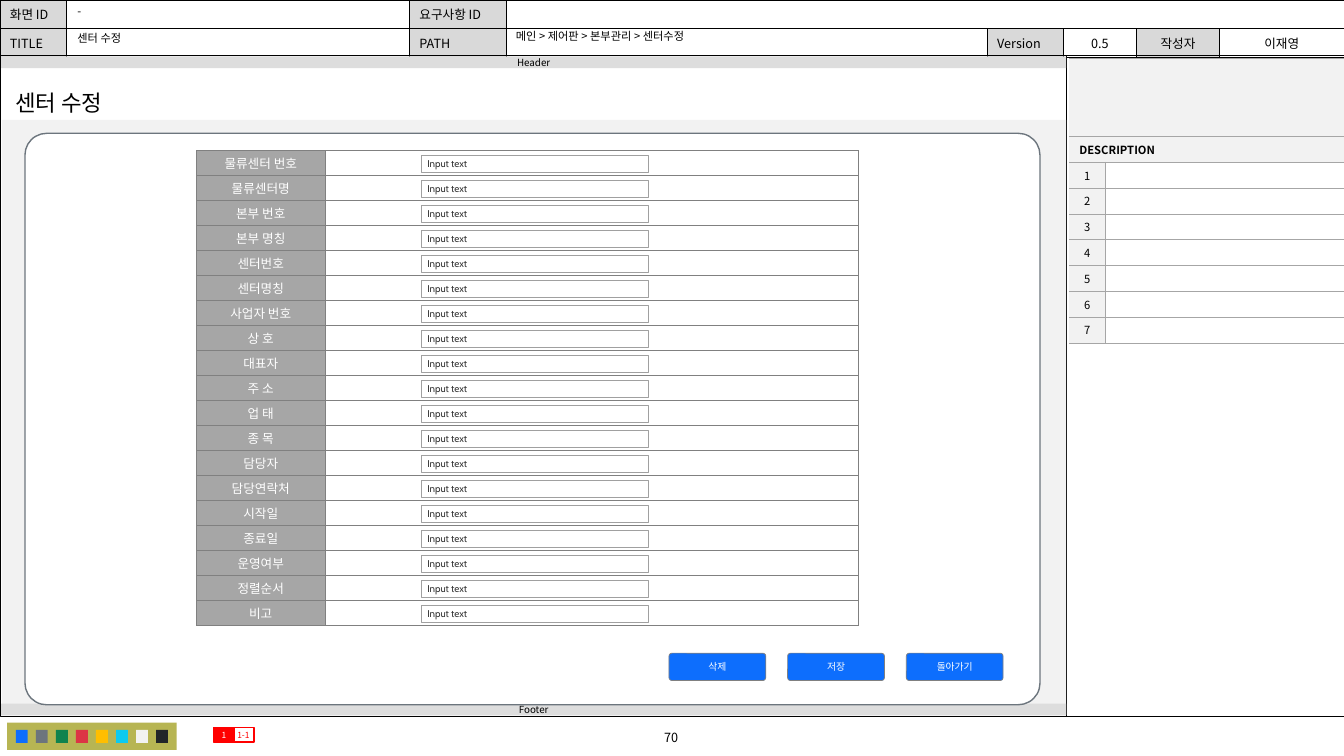
from lxml import etree
from pptx import Presentation
from pptx.dml.color import RGBColor
from pptx.enum.shapes import MSO_CONNECTOR, MSO_SHAPE
from pptx.enum.text import MSO_ANCHOR, PP_ALIGN
from pptx.oxml.ns import qn
from pptx.util import Cm, Pt

RECTANGLE, ROUNDED = MSO_SHAPE.RECTANGLE, MSO_SHAPE.ROUNDED_RECTANGLE
STRAIGHT = MSO_CONNECTOR.STRAIGHT
LEFT, CENTER = PP_ALIGN.LEFT, PP_ALIGN.CENTER
TOP, MIDDLE = MSO_ANCHOR.TOP, MSO_ANCHOR.MIDDLE

BLACK = RGBColor(0x00, 0x00, 0x00)
WHITE = RGBColor(0xFF, 0xFF, 0xFF)
RED = RGBColor(0xFF, 0x00, 0x00)
BLUE = RGBColor(0x0D, 0x6E, 0xFD)
SLATE = RGBColor(0x6C, 0x75, 0x7D)
GREEN = RGBColor(0x10, 0x83, 0x4E)
CRIMSON = RGBColor(0xDC, 0x35, 0x45)
AMBER = RGBColor(0xFF, 0xBE, 0x00)
CYAN = RGBColor(0x0D, 0xCA, 0xF0)
PALE = RGBColor(0xF2, 0xF2, 0xF2)
INK = RGBColor(0x21, 0x25, 0x29)
OLIVE = RGBColor(0xB7, 0xB5, 0x53)
BAR_GRAY = RGBColor(0xDD, 0xDD, 0xDD)
LABEL_GRAY = RGBColor(0xD9, 0xD9, 0xD9)
MID_GRAY = RGBColor(0xA6, 0xA6, 0xA6)
EDGE_GRAY = RGBColor(0x80, 0x80, 0x80)
INPUT_EDGE = RGBColor(0xA0, 0xA0, 0xA0)
INPUT_TEXT = RGBColor(0x33, 0x33, 0x33)

NOTO, CABIN = "Noto Sans CJK KR", "Cabin"
NO_TABLE_STYLE = "{2D5ABB26-0587-4C30-8999-92F81FD0307C}"
ROW = 0.63
FORM_LABELS = ["물류센터 번호", "물류센터명", "본부 번호", "본부 명칭", "센터번호", "센터명칭",
               "사업자 번호", "상 호", "대표자", "주 소", "업 태", "종 목", "담당자", "담당연락처",
               "시작일", "종료일", "운영여부", "정렬순서", "비고"]


def write(frame, text, size, color=BLACK, align=LEFT, font=NOTO, bold=False):
    paragraph = frame.paragraphs[0]
    paragraph.text = text
    paragraph.alignment = align
    paragraph.font.size = Pt(size)
    paragraph.font.bold = bold
    paragraph.font.color.rgb = color
    paragraph.font.name = font
    etree.SubElement(paragraph.font._element, qn("a:ea"), typeface=NOTO)
    return paragraph


def add_box(shapes, box, fill=None, line=None, width=0.5, kind=RECTANGLE, radius=None):
    shape = shapes.add_shape(kind, *map(Cm, box))
    shape.shadow.inherit = False
    if radius is not None:
        shape.adjustments[0] = radius
    if fill is None:
        shape.fill.background()
    else:
        shape.fill.solid()
        shape.fill.fore_color.rgb = fill
    if line is None:
        shape.line.fill.background()
    else:
        shape.line.color.rgb = line
        shape.line.width = Pt(width)
    return shape


def label(shape, text, size, color=BLACK, align=CENTER, font=NOTO, inset=0):
    frame = shape.text_frame
    frame.word_wrap = True
    frame.vertical_anchor = MIDDLE
    frame.margin_left = frame.margin_right = Cm(inset)
    frame.margin_top = frame.margin_bottom = 0
    write(frame, text, size, color, align, font)


def add_text(slide, box, text, size, align=LEFT, wrap=True, spacing=None):
    frame = slide.shapes.add_textbox(*map(Cm, box)).text_frame
    frame.word_wrap = wrap
    write(frame, text, size, align=align).line_spacing = spacing


def add_grid(slide, left, top, columns, rows):
    frame = slide.shapes.add_table(len(rows), len(columns), Cm(left), Cm(top),
                                   Cm(sum(columns)), Cm(sum(rows)))
    table = frame.table
    table.first_row = table.horz_banding = False
    table._tbl.tblPr.find(qn("a:tableStyleId")).text = NO_TABLE_STYLE
    for column, width in zip(table.columns, columns):
        column.width = Cm(width)
    for row, height in zip(table.rows, rows):
        row.height = Cm(height)
    return table


def fill_cell(cell, text, size, fill, edge, edge_width, sides="LRTB", align=LEFT,
              color=BLACK, bold=False, anchor=TOP, margins=(0.25, 0.13)):
    properties = cell._tc.get_or_add_tcPr()
    for side in sides:
        border = etree.SubElement(properties, qn(f"a:ln{side}"), w=str(Pt(edge_width)))
        solid = etree.SubElement(border, qn("a:solidFill"))
        etree.SubElement(solid, qn("a:srgbClr"), val=str(edge))
    cell.fill.solid()
    cell.fill.fore_color.rgb = fill
    cell.vertical_anchor = anchor
    cell.margin_left = cell.margin_right = Cm(margins[0])
    cell.margin_top = cell.margin_bottom = Cm(margins[1])
    paragraph = write(cell.text_frame, text, size, color, align, bold=bold)
    if not text:  # keeps an empty row from growing
        paragraph._p.get_or_add_endParaRPr().set("sz", str(size * 100))


def add_document_header(slide, left, top):
    columns = [1.67, 8.65, 2.44, 12.12, 1.92, 1.84, 2.09, 3.14]
    rows = [["화면 ID", "", "요구사항 ID", "", "", "", "", ""],
            ["TITLE", "", "PATH", "", "Version", "0.5", "작성자", "이재영"]]
    table = add_grid(slide, left, top, columns, [0.71, 0.71])
    table.cell(0, 3).merge(table.cell(0, 7))
    for r, texts in enumerate(rows):
        for c, text in enumerate(texts):
            is_label = c % 2 == 0 and not (r == 0 and c > 2)
            fill_cell(table.cell(r, c), text, 9, LABEL_GRAY if is_label else WHITE,
                      BLACK, 0.5, align=CENTER if c > 4 else LEFT)


def add_header_values(slide, left, top):
    for x, y, width, text in [(12.75, 0.66, 12.04, "메인 > 제어판 > 본부관리 > 센터수정"),
                              (1.7, 0.03, 8.64, "-"), (1.7, 0.7, 8.6, "센터 수정")]:
        add_text(slide, (left + x, top + y, width, 0.55), text, 8, spacing=0.9)


def add_screen_frame(slide, left, top, width, height):
    add_box(slide.shapes, (left, top, 33.87, height), line=BLACK, width=0.25)
    edge = slide.shapes.add_connector(STRAIGHT, Cm(left + width), Cm(top),
                                      Cm(left + width), Cm(top + height))
    edge.line.color.rgb = BLACK
    edge.line.width = Pt(0.5)
    etree.SubElement(edge._element.spPr, qn("a:effectLst"))
    add_box(slide.shapes, (left + 0.05, top + 1.62, width - 0.05, 15), fill=PALE)
    for text, y in [("Footer", top + height - 0.33), ("Header", top + 0.02)]:
        bar = add_box(slide.shapes, (left + 0.03, y, width - 0.03, 0.3), fill=BAR_GRAY)
        label(bar, text, 7)


def add_palette(slide, left, top, width, height):
    shapes = slide.shapes.add_group_shape().shapes
    add_box(shapes, (left, top, width, height), fill=OLIVE)
    colors = [BLUE, SLATE, GREEN, CRIMSON, AMBER, CYAN, PALE, INK]
    for i, color in enumerate(colors):
        add_box(shapes, (left + 0.22 + i * 0.505, top + 0.18, 0.3, 0.33), fill=color)


def add_markers(slide, left, top):
    sub_marker = add_box(slide.shapes, (left + 0.49, top, 0.53, 0.36), line=RED, width=1)
    label(sub_marker, "1-1", 6, RED)
    marker = add_box(slide.shapes, (left, top, 0.53, 0.36), fill=RED, line=RED, width=1)
    label(marker, "1", 6, WHITE)


def add_description(slide, left, top):
    table = add_grid(slide, left, top, [0.9, 6.02], [1.97] + [0.65] * 8)
    for r in range(9):
        if r < 2:
            table.cell(r, 0).merge(table.cell(r, 1))
        text = ["", "DESCRIPTION"][r] if r < 2 else str(r - 1)
        fill_cell(table.cell(r, 0), text, 8, PALE, MID_GRAY, 0.5,
                  sides="TB" if r < 2 else "RTB", align=LEFT if r < 2 else CENTER,
                  bold=r == 1, anchor=MIDDLE, margins=(0.25, 0.12) if r < 2 else (0, 0))
        fill_cell(table.cell(r, 1), "", 8, PALE if r < 2 else WHITE, MID_GRAY, 0.5,
                  sides="TB" if r < 2 else "LTB")


def add_form(slide, left, top):
    table = add_grid(slide, left, top, [3.24, 13.44], [ROW] * len(FORM_LABELS))
    for r, text in enumerate(FORM_LABELS):
        fill_cell(table.cell(r, 0), text, 9, MID_GRAY, EDGE_GRAY, 0.25, align=CENTER,
                  color=WHITE, anchor=MIDDLE, margins=(0.13, 0.07))
        fill_cell(table.cell(r, 1), "", 8, WHITE, EDGE_GRAY, 0.25, margins=(0.13, 0.07))
    for r in range(len(FORM_LABELS)):
        field = add_box(slide.shapes, (left + 5.67, top + 0.12 + r * ROW, 5.72, 0.43),
                        fill=WHITE, line=INPUT_EDGE)
        label(field, "Input text", 7, INPUT_TEXT, LEFT, CABIN, inset=0.15)


def add_buttons(slide, left, top):
    for i, text in enumerate(["삭제", "저장", "돌아가기"]):
        button = add_box(slide.shapes, (left + i * 2.99, top, 2.44, 0.69), fill=BLUE,
                         line=EDGE_GRAY, kind=ROUNDED, radius=0.108)
        label(button, text, 7, WHITE, font=CABIN, inset=0.28)


def main():
    presentation = Presentation()
    presentation.slide_width, presentation.slide_height = Cm(33.87), Cm(19.05)
    slide = presentation.slides.add_slide(presentation.slide_layouts[6])
    # Document frame
    add_document_header(slide, 0, 0)
    add_screen_frame(slide, 0, 1.4, 26.87, 16.66)
    add_text(slide, (13.64, 18.26, 6.55, 0.64), "70", 9, align=CENTER)
    add_palette(slide, 0.18, 18.21, 4.27, 0.69)
    add_header_values(slide, 0, 0)
    add_markers(slide, 5.38, 18.34)
    add_description(slide, 26.95, 1.47)
    # Screen content
    add_box(slide.shapes, (0.63, 3.36, 25.58, 14.4), fill=WHITE, line=SLATE, width=1,
            kind=ROUNDED, radius=0.038)
    add_text(slide, (0.13, 2.11, 2.97, 0.94), "센터 수정", 16, wrap=False)
    add_form(slide, 4.95, 3.79)
    add_buttons(slide, 16.86, 16.46)
    presentation.save("out.pptx")


if __name__ == "__main__":
    main()
